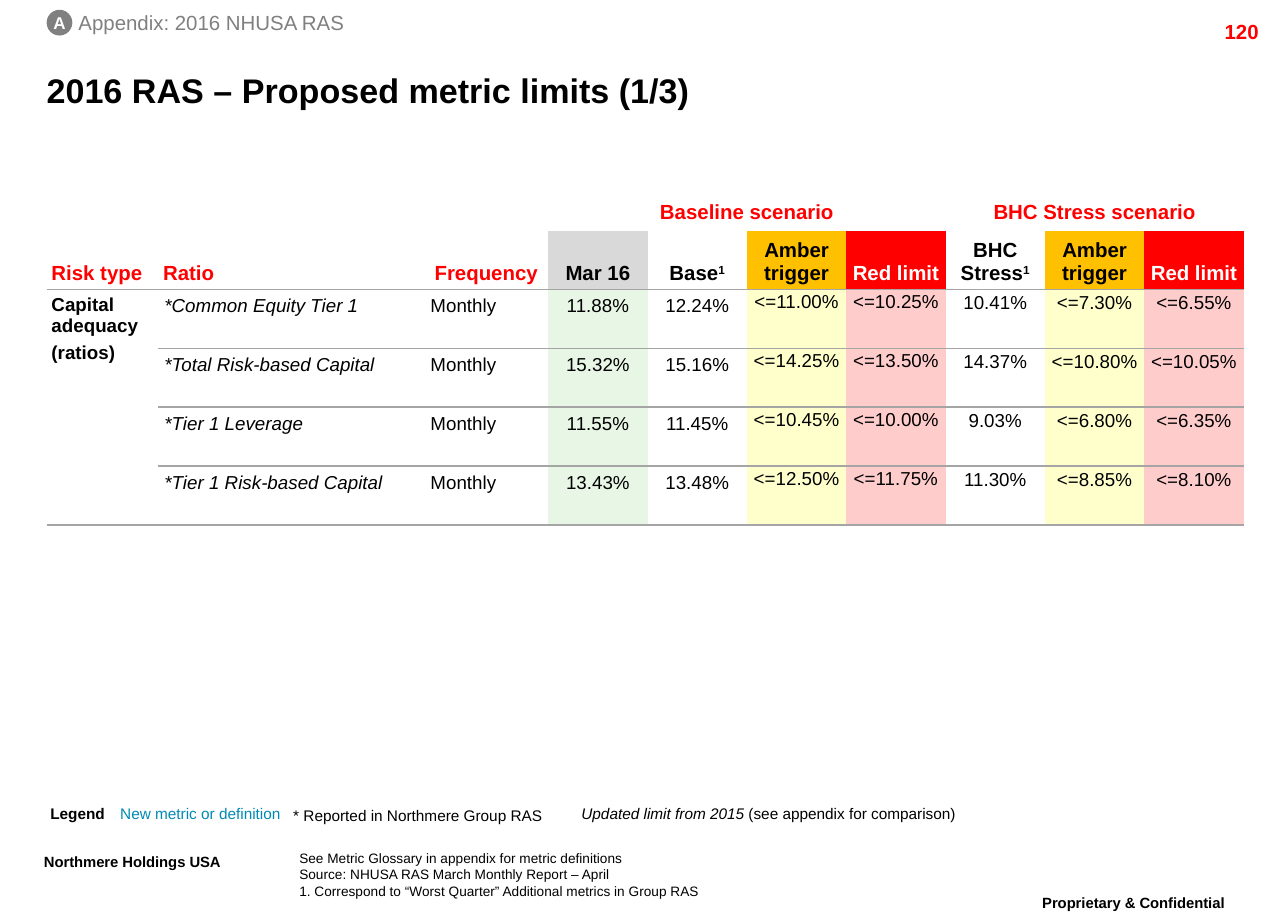
import pptx
import pptx.util
import pptx.dml.color
import pptx.enum.shapes
import pptx.enum.text
import pptx.oxml.ns
from lxml import etree

Inches = pptx.util.Inches
Pt = pptx.util.Pt
ALIGN = pptx.enum.text.PP_ALIGN
ANCHOR = pptx.enum.text.MSO_ANCHOR
qn = pptx.oxml.ns.qn

C = {"black": "000000", "white": "FFFFFF", "red": "FF0000", "grey": "808080",
     "teal": "008AB3", "rule": "A5A5A5", "month": "D9D9D9", "amber": "FFC000",
     "pale_green": "E8F6E6", "pale_amber": "FFFFCC", "pale_red": "FFCCCC"}
NO_STYLE = "{2D5ABB26-0587-4C30-8999-92F81FD0307C}"

COLS = [0.91, 2.17, 1.01] + [0.81] * 7
ROWS = [0.28] + [0.48] * 5
# Heading, text colour, fill, fill of the cells below
HEADS = [("Risk type", "red", None, None), ("Ratio", "red", None, None),
         ("Frequency", "red", None, None), ("Mar 16", "black", "month", "pale_green"),
         ("Base", "black", None, None), ("Amber trigger", "black", "amber", "pale_amber"),
         ("Red limit", "white", "red", "pale_red"), ("BHC Stress", "black", None, None),
         ("Amber trigger", "black", "amber", "pale_amber"),
         ("Red limit", "white", "red", "pale_red")]
METRICS = [
    ("*Common Equity Tier 1", "Monthly", "11.88%", "12.24%", "<=11.00%", "<=10.25%",
     "10.41%", "<=7.30%", "<=6.55%"),
    ("*Total Risk-based Capital", "Monthly", "15.32%", "15.16%", "<=14.25%", "<=13.50%",
     "14.37%", "<=10.80%", "<=10.05%"),
    ("*Tier 1 Leverage", "Monthly", "11.55%", "11.45%", "<=10.45%", "<=10.00%",
     "9.03%", "<=6.80%", "<=6.35%"),
    ("*Tier 1 Risk-based Capital", "Monthly", "13.43%", "13.48%", "<=12.50%", "<=11.75%",
     "11.30%", "<=8.85%", "<=8.10%"),
]


def rgb(name):
    return pptx.dml.color.RGBColor.from_string(C[name])


def write(p, text, size=9, color="black", bold=False, italic=False, base=0,
          align=ALIGN.LEFT, spacing=None):
    """Add one formatted run to a paragraph."""
    p.alignment = align
    if spacing is not None:
        p.line_spacing = spacing
    r = p.add_run()
    r.text = text
    r.font.name, r.font.size = "Arial", Pt(size)
    r.font.bold, r.font.italic = bold, italic
    r.font.color.rgb = rgb(color)
    if base:
        r._r.get_or_add_rPr().set("baseline", str(base * 1000))


def set_insets(frame, inset):
    frame.margin_left = frame.margin_right = Inches(inset)
    frame.margin_top = frame.margin_bottom = Inches(inset)


def add_box(slide, left, top, width, height, inset=0.0, wrap=True):
    sp = slide.shapes.add_textbox(Inches(left), Inches(top), Inches(width), Inches(height))
    tf = sp.text_frame
    tf.word_wrap = wrap
    if inset == 0:
        set_insets(tf, 0)
    return tf


def header(slide, left, top, width):
    # Section marker
    sp = slide.shapes.add_shape(pptx.enum.shapes.MSO_SHAPE.OVAL, Inches(left), Inches(top),
                                Inches(0.21), Inches(0.21))
    sp.shadow.inherit = False
    sp.fill.solid()
    sp.fill.fore_color.rgb = rgb("grey")
    sp.line.fill.background()
    tf = sp.text_frame
    set_insets(tf, 0)
    tf.word_wrap = False
    tf.vertical_anchor = ANCHOR.MIDDLE
    write(tf.paragraphs[0], "A", size=10, color="white", bold=True, align=ALIGN.CENTER)
    tf = add_box(slide, left + 0.26, top, 2.17, 0.2, wrap=False)
    write(tf.paragraphs[0], "Appendix: 2016 NHUSA RAS", size=12, color="grey")

    # Page number
    tf = add_box(slide, left + width - 0.75, top + 0.03, 1, 0.24, inset=None)
    write(tf.paragraphs[0], "120", size=12, color="red", bold=True, align=ALIGN.RIGHT)

    # Title
    sp = slide.shapes.title
    sp.left, sp.top = Inches(left), Inches(top + 0.41)
    sp.width, sp.height = Inches(9.48), Inches(0.48)
    tf = sp.text_frame
    set_insets(tf, 0)
    tf.auto_size = pptx.enum.text.MSO_AUTO_SIZE.NONE
    tf.vertical_anchor = ANCHOR.MIDDLE
    write(tf.paragraphs[0], "2016 RAS – Proposed metric limits (1/3)", size=20, bold=True)


def style_cell(cell, inset, fill=None, edges=()):
    """Set insets, fill and the ruled edges of a table cell."""
    set_insets(cell, inset)
    tcPr = cell._tc.get_or_add_tcPr()
    for edge in ("lnL", "lnR", "lnT", "lnB"):
        ln = etree.SubElement(tcPr, qn("a:" + edge), w=str(Pt(1)))
        if edge in edges:
            solid = etree.SubElement(ln, qn("a:solidFill"))
            etree.SubElement(solid, qn("a:srgbClr"), val=C["rule"])
        else:
            etree.SubElement(ln, qn("a:noFill"))
    if fill:
        cell.fill.solid()
        cell.fill.fore_color.rgb = rgb(fill)
    else:
        cell.fill.background()


def limits_table(slide, left, top):
    gf = slide.shapes.add_table(len(ROWS), len(COLS), Inches(left), Inches(top),
                                Inches(sum(COLS)), Inches(sum(ROWS)))
    tbl = gf.table
    tbl.first_row = tbl.horz_banding = False
    tbl._tbl.tblPr.find(qn("a:tableStyleId")).text = NO_STYLE
    for col, width in zip(tbl.columns, COLS):
        col.width = Inches(width)
    for row, height in zip(tbl.rows, ROWS):
        row.height = Inches(height)

    # Scenario row
    for i in range(len(COLS)):
        cell = tbl.cell(0, i)
        style_cell(cell, 0.04, "white" if i > 2 else None)
        etree.SubElement(cell.text_frame.paragraphs[0]._p, qn("a:endParaRPr"), sz="1200")
    for first, last, text in ((3, 6, "Baseline scenario"), (7, 9, "BHC Stress scenario")):
        tbl.cell(0, first).merge(tbl.cell(0, last))
        write(tbl.cell(0, first).text_frame.paragraphs[0], text, size=12, color="red",
              bold=True, align=ALIGN.CENTER)

    # Column headings
    for i, (text, color, fill, _) in enumerate(HEADS):
        cell = tbl.cell(1, i)
        style_cell(cell, 0.04, fill, ("lnB",))
        cell.vertical_anchor = ANCHOR.BOTTOM
        p = cell.text_frame.paragraphs[0]
        fmt = dict(size=12, color=color, bold=True,
                   align=ALIGN.LEFT if i < 2 else ALIGN.CENTER)
        write(p, text, **fmt)
        if text in ("Base", "BHC Stress"):
            write(p, "1", base=30, **fmt)

    # Metrics
    for j, metric in enumerate(METRICS, start=2):
        for i, text in enumerate(metric, start=1):
            cell = tbl.cell(j, i)
            style_cell(cell, 0.05, HEADS[i][3], ("lnT", "lnB"))
            spacing = Pt(10) if i in (5, 6) else 0.86 if i > 6 else None
            write(cell.text_frame.paragraphs[0], text, size=11, italic=i == 1,
                  align=ALIGN.CENTER if i > 2 else ALIGN.LEFT, spacing=spacing)

    # Risk type, across all metrics
    last = len(ROWS) - 1
    for j, edges in ((2, ("lnT", "lnB")), (3, ()), (4, ()), (last, ("lnB",))):
        style_cell(tbl.cell(j, 0), 0.04, edges=edges)
    tbl.cell(2, 0).merge(tbl.cell(last, 0))
    tf = tbl.cell(2, 0).text_frame
    write(tf.paragraphs[0], "Capital adequacy", size=11, bold=True)
    p = tf.add_paragraph()
    p.space_before = Pt(4)
    write(p, "(ratios)", size=11, bold=True)


def legend(slide, left, top):
    tf = add_box(slide, left, top, 0.65, 0.13)
    write(tf.paragraphs[0], "Legend", bold=True, spacing=0.86)
    tf = add_box(slide, left + 0.57, top, 1.32, 0.13, wrap=False)
    write(tf.paragraphs[0], "New metric or definition", color="teal", spacing=0.86)
    tf = add_box(slide, left + 1.93, top + 0.01, 2.13, 0.13)
    write(tf.paragraphs[0], "* Reported in Northmere Group RAS", align=ALIGN.CENTER,
          spacing=0.86)
    p = add_box(slide, left + 4.1, top, 3.51, 0.13).paragraphs[0]
    write(p, "Updated limit from 2015 ", italic=True, align=ALIGN.CENTER, spacing=0.86)
    write(p, "(see appendix for comparison)", align=ALIGN.CENTER, spacing=0.86)


def footer(slide, left, top):
    fmt = dict(size=15, bold=True, base=30, spacing=0.86)
    tf = add_box(slide, left, top, 1.91, 0.35, inset=None)
    write(tf.paragraphs[0], "Northmere Holdings USA", **fmt)
    tf = add_box(slide, left + 7.89, top + 0.34, 2.18, 0.35, inset=None)
    write(tf.paragraphs[0], "Proprietary & Confidential", align=ALIGN.CENTER, **fmt)

    # Notes
    tf = add_box(slide, left + 2.18, top + 0.02, 5.47, 0.4)
    notes = ("See Metric Glossary in appendix for metric definitions",
             "Source: NHUSA RAS March Monthly Report – April",
             "1. Correspond to “Worst Quarter” Additional metrics in Group RAS")
    for i, note in enumerate(notes):
        write(tf.add_paragraph() if i else tf.paragraphs[0], note, size=8)


def main():
    prs = pptx.Presentation()
    prs.slide_width, prs.slide_height = Inches(10.5), Inches(7.5)
    slide = prs.slides.add_slide(prs.slide_layouts[5])
    header(slide, 0.38, 0.08, 9.73)
    limits_table(slide, 0.38, 1.6)
    legend(slide, 0.41, 6.58)
    footer(slide, 0.26, 6.91)
    prs.save("out.pptx")


if __name__ == "__main__":
    main()
